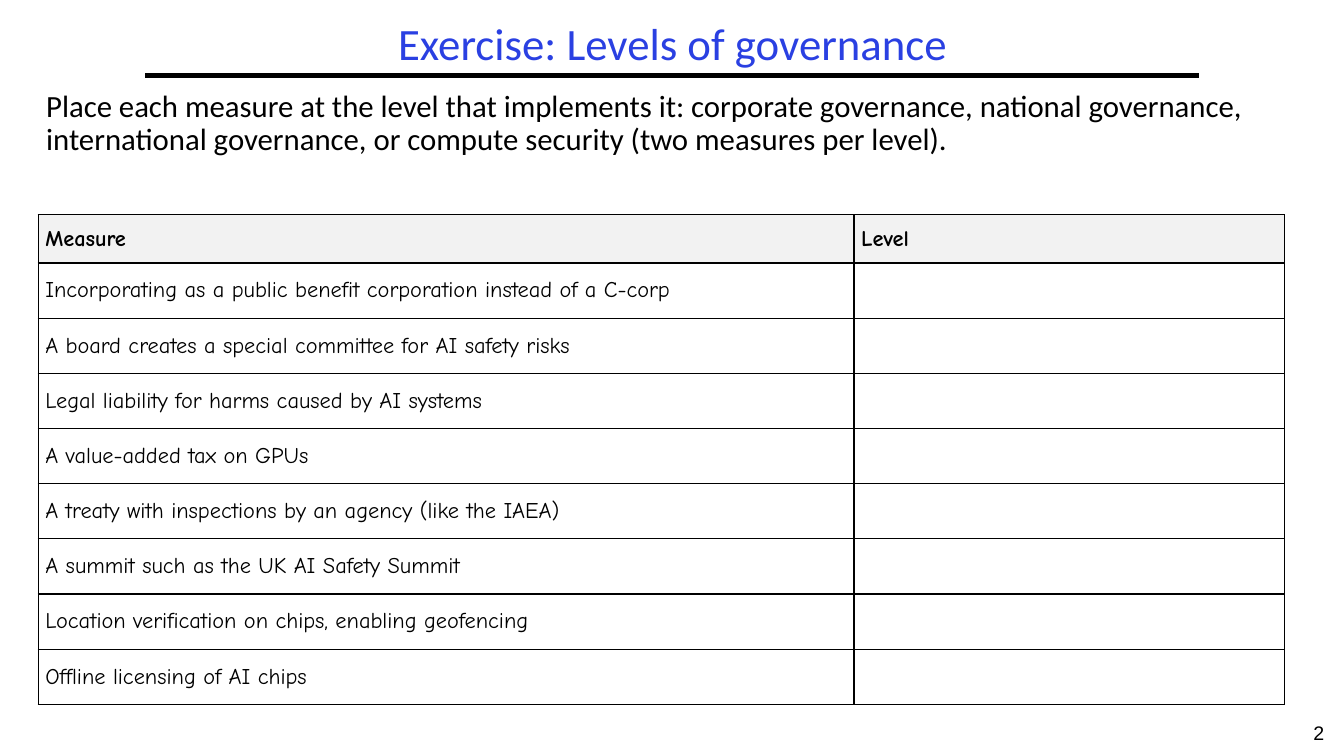
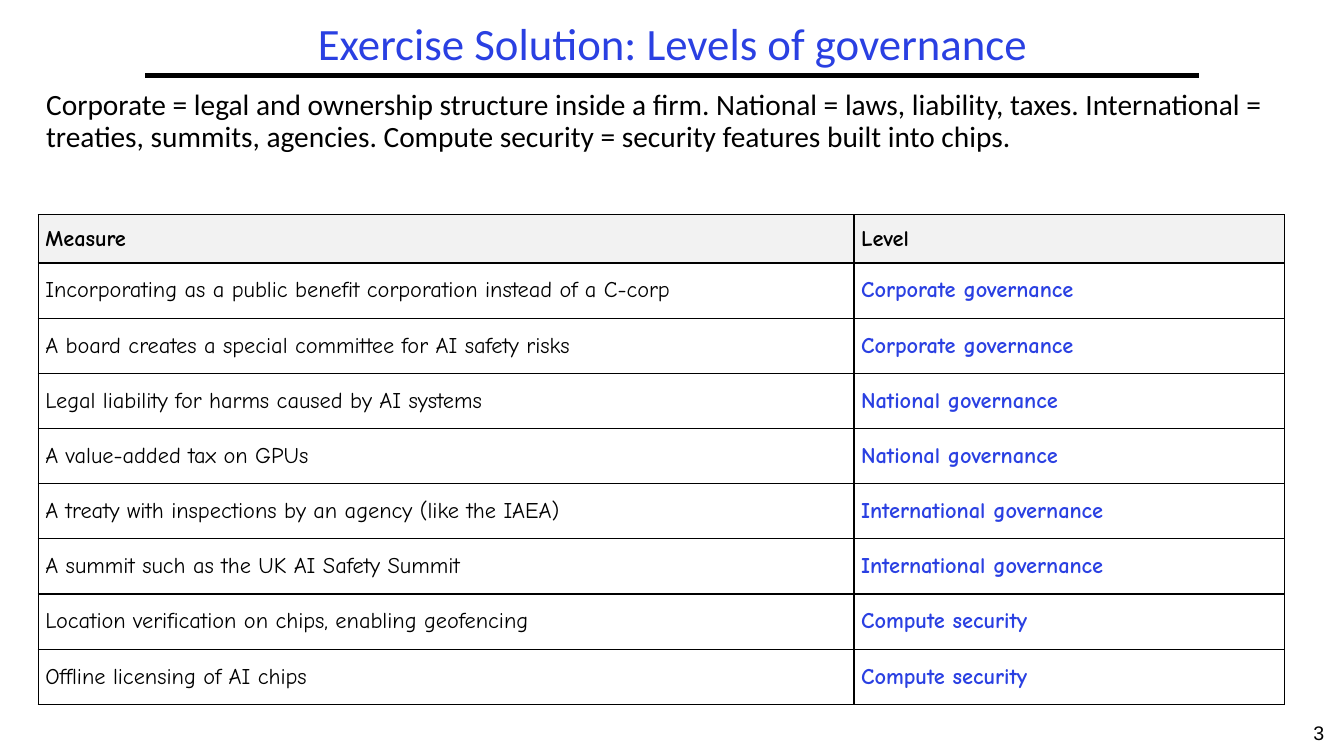
import pptx
import pptx.dml.color
import pptx.enum.shapes
import pptx.enum.text
import pptx.oxml
import pptx.oxml.ns
import pptx.util

BLUE = pptx.dml.color.RGBColor(0x2A, 0x40, 0xE2)
BLACK = pptx.dml.color.RGBColor(0, 0, 0)
GREY = pptx.dml.color.RGBColor(0xF2, 0xF2, 0xF2)
WIDTH, HEIGHT = pptx.util.Inches(13.333), pptx.util.Inches(7.5)
CENTER = pptx.enum.text.PP_ALIGN.CENTER
MIDDLE = pptx.enum.text.MSO_ANCHOR.MIDDLE

TITLE = dict(name="Calibri", size=pptx.util.Pt(32))
NUMBER = dict(name="Arial", size=pptx.util.Pt(14))
CELL = dict(name="Comic Neue", size=pptx.util.Pt(16))
CELL_FORMAT = dict(
    vertical_anchor=MIDDLE,
    margin_left=pptx.util.Inches(0.07), margin_right=pptx.util.Inches(0.07),
    margin_top=pptx.util.Inches(0.03), margin_bottom=pptx.util.Inches(0.03))

# Lengths below are percentages of the slide's width or height.
COLUMNS = (60.7, 32)
HEADER_ROW, MEASURE_ROW = 6.4, 7.3

MEASURES = [
    ("Incorporating as a public benefit corporation instead of a C-corp", "Corporate governance"),
    ("A board creates a special committee for AI safety risks", "Corporate governance"),
    ("Legal liability for harms caused by AI systems", "National governance"),
    ("A value-added tax on GPUs", "National governance"),
    ("A treaty with inspections by an agency (like the IAEA)", "International governance"),
    ("A summit such as the UK AI Safety Summit", "International governance"),
    ("Location verification on chips, enabling geofencing", "Compute security"),
    ("Offline licensing of AI chips", "Compute security"),
]


def across(share):
    return round(WIDTH * share / 100)


def down(share):
    return round(HEIGHT * share / 100)


def set_all(target, values):
    for key, value in values.items():
        setattr(target, key, value)


def write(tf, text, font, color=BLACK, **paragraph):
    p = tf.paragraphs[0]
    set_all(p, paragraph)
    r = p.add_run()
    r.text = text
    set_all(r.font, font)
    r.font.color.rgb = color


def add_text(s, box, text, font, color=BLACK, anchor=None, **paragraph):
    x, y, w, h = box
    tf = s.shapes.add_textbox(across(x), down(y), across(w), down(h)).text_frame
    tf.word_wrap = True
    tf.vertical_anchor = anchor
    write(tf, text, font, color, **paragraph)


def add_rule(s):
    """Draw the line under the title."""
    rule = s.shapes.add_connector(
        pptx.enum.shapes.MSO_CONNECTOR.STRAIGHT,
        across(10.8), down(10), across(89.2), down(10))
    rule.line.color.rgb = BLACK
    rule.line.width = pptx.util.Pt(3)
    pptx.oxml.ns.qn("a:effectLst")
    rule._element.spPr.append(pptx.oxml.parse_xml(
        "<a:effectLst %s/>" % pptx.oxml.ns.nsdecls("a")))


def add_borders(cell):
    for side in "LRTB":
        cell._tc.get_or_add_tcPr().append(pptx.oxml.parse_xml(
            '<a:ln%s %s w="%d"><a:solidFill><a:srgbClr val="%s"/></a:solidFill></a:ln%s>'
            % (side, pptx.oxml.ns.nsdecls("a"), pptx.util.Pt(1), BLACK, side)))


def fill_cell(cell, text, color=BLACK, bold=False, fill=None):
    set_all(cell, CELL_FORMAT)
    add_borders(cell)
    if fill is None:
        cell.fill.background()
    else:
        cell.fill.solid()
        cell.fill.fore_color.rgb = fill
    if text:
        write(cell.text_frame, text, dict(CELL, bold=bold), color)


def add_measures(s, solved):
    heights = [HEADER_ROW] + [MEASURE_ROW] * len(MEASURES)
    table = s.shapes.add_table(
        len(heights), len(COLUMNS), across(2.85), down(28.4),
        across(sum(COLUMNS)), down(sum(heights))).table
    set_all(table, dict(first_row=False, horz_banding=False))
    for column, width in zip(table.columns, COLUMNS):
        column.width = across(width)
    for row, height in zip(table.rows, heights):
        row.height = down(height)
    for i, heading in enumerate(("Measure", "Level")):
        fill_cell(table.cell(0, i), heading, bold=True, fill=GREY)
    for i, (measure, level) in enumerate(MEASURES, start=1):
        fill_cell(table.cell(i, 0), measure)
        fill_cell(table.cell(i, 1), level if solved else "", BLUE, bold=True)


def add_exercise(prs, number, title, intro, intro_size, solved):
    s = prs.slides.add_slide(prs.slide_layouts[6])
    add_rule(s)
    add_text(s, (96.25, 94.67, 3.75, 5.33), str(number), NUMBER, alignment=CENTER)
    add_text(s, (10.8, 2.27, 78.5, 7.73), title, TITLE, BLUE, MIDDLE,
             alignment=CENTER, line_spacing=0.9)
    add_text(s, (2.7, 11.33, 94.35, 17.07), intro,
             dict(name="Calibri", size=pptx.util.Pt(intro_size)), line_spacing=0.9)
    add_measures(s, solved)


def main():
    prs = pptx.Presentation()
    prs.slide_width, prs.slide_height = WIDTH, HEIGHT
    add_exercise(
        prs, 2, "Exercise: Levels of governance",
        "Place each measure at the level that implements it: corporate governance, "
        "national governance, international governance, or compute security "
        "(two measures per level).", 22, solved=False)
    add_exercise(
        prs, 3, "Exercise Solution: Levels of governance",
        "Corporate = legal and ownership structure inside a firm. National = laws, "
        "liability, taxes. International = treaties, summits, agencies. "
        "Compute security = security features built into chips.", 21, solved=True)
    prs.save("out.pptx")


if __name__ == "__main__":
    main()
